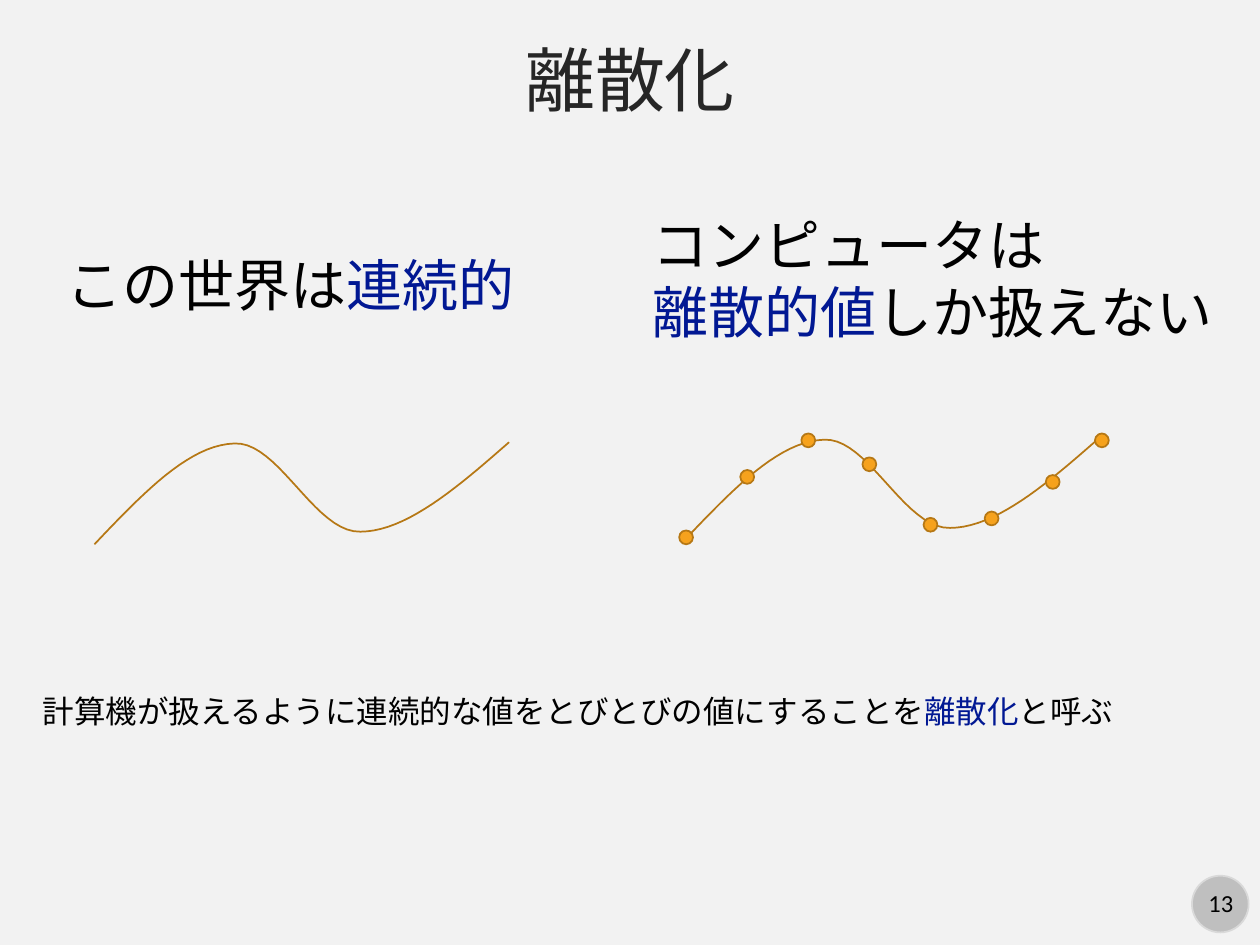
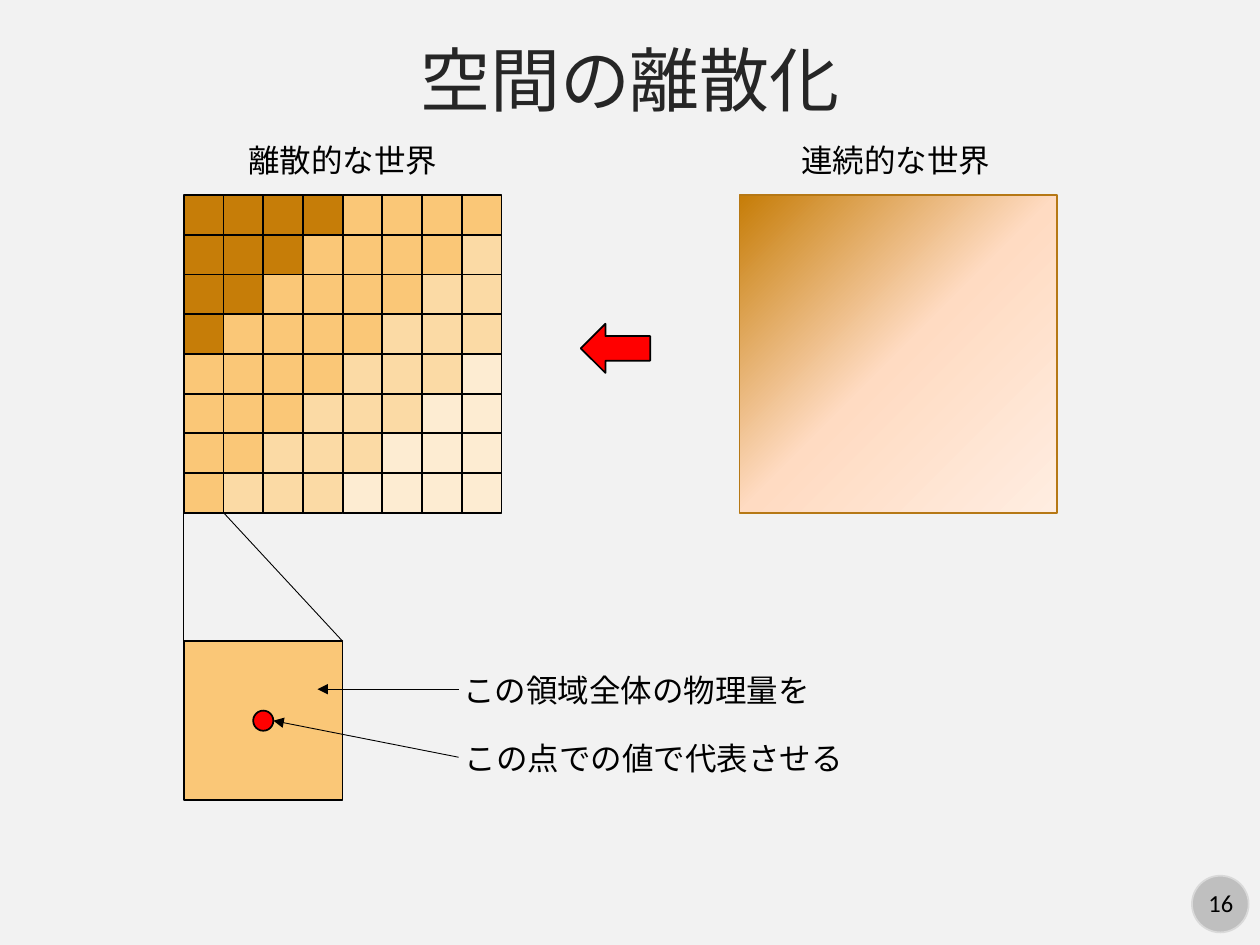
import copy
from dataclasses import dataclass

import pptx
import pptx.dml.color
import pptx.enum.lang
import pptx.enum.shapes
import pptx.enum.text
import pptx.oxml
import pptx.oxml.ns
import pptx.util

Inches = pptx.util.Inches
Pt = pptx.util.Pt
RGB = pptx.dml.color.RGBColor.from_string
SHAPE = pptx.enum.shapes.MSO_SHAPE
ALIGN = pptx.enum.text.PP_ALIGN
qn = pptx.oxml.ns.qn


@dataclass(frozen=True)
class Theme:
    font: str = "Calibri"
    background: str = "F2F2F2"
    title: str = "262626"
    text: str = "000000"
    accent: str = "011893"
    badge: str = "BFBFBF"
    badge_line: str = "D9D9D9"
    curve: str = "B67815"
    sample: str = "F6A21D"
    red: str = "FF0000"
    shades: tuple = ("C67D08", "FAC777", "FBDAA5", "FDECD2")
    gradient: tuple = ((0, "C67D08"), (0.5, "FFDBC2"), (1, "FFEDE1"))
    title_size: int = 40
    lead_size: int = 32
    body_size: int = 18
    number_size: int = 14


theme = Theme()


def add_text(s, at, text, size, color=theme.text, align=ALIGN.LEFT, wrap=False):
    tf = s.shapes.add_textbox(*map(Inches, at)).text_frame
    tf.word_wrap = wrap
    if wrap:
        tf.vertical_anchor = pptx.enum.text.MSO_ANCHOR.MIDDLE
    else:
        tf.auto_size = pptx.enum.text.MSO_AUTO_SIZE.SHAPE_TO_FIT_TEXT
    for i, line in enumerate(text.split("\n")):
        p = tf.add_paragraph() if i else tf.paragraphs[0]
        p.alignment = align
        p.font.name = theme.font
        p.font.size = Pt(size)
        p.font.color.rgb = RGB(color)
        for j, part in enumerate(line.split("|")):
            if part:
                r = p.add_run()
                r.text = part
                r.font.language_id = pptx.enum.lang.MSO_LANGUAGE_ID.JAPANESE
                if j % 2:
                    r.font.color.rgb = RGB(theme.accent)


def add_shape(s, kind, at, fill, line=theme.text):
    sp = s.shapes.add_shape(kind, *map(Inches, at))
    sp.shadow.inherit = False
    sp.fill.solid()
    sp.fill.fore_color.rgb = RGB(fill)
    sp.line.color.rgb = RGB(line)
    sp.line.width = Pt(1)
    return sp


prs = pptx.Presentation()
prs.slide_width = Inches(10)
prs.slide_height = Inches(7.5)
prs.slide_master.background.fill.solid()
prs.slide_master.background.fill.fore_color.rgb = RGB(theme.background)

for title, number in (("離散化", "13"), ("空間の離散化", "16")):
    s = prs.slides.add_slide(prs.slide_layouts[6])
    add_shape(s, SHAPE.OVAL, (9.46, 6.95, 0.45, 0.45), theme.badge, theme.badge_line)
    add_text(s, (9.47, 7, 0.44, 0.34), number, theme.number_size, align=ALIGN.CENTER)
    add_text(s, (0, 0.21, 10, 0.82), title, theme.title_size, theme.title, ALIGN.CENTER, True)

s = prs.slides[0]
add_text(s, (5.08, 1.62, 4.69, 1.18), "コンピュータは\n|離散的値|しか扱えない", theme.lead_size)
add_text(s, (0.43, 1.94, 3.79, 0.64), "この世界は|連続的", theme.lead_size)
add_text(s, (0.24, 5.44, 8.78, 0.4),
         "計算機が扱えるように連続的な値をとびとびの値にすることを|離散化|と呼ぶ", theme.body_size)

wave = [(0.75, 4.32), (1.13, 3.92), (1.5, 3.53), (1.86, 3.52), (2.21, 3.5),
        (2.5, 4.23), (2.86, 4.22), (3.22, 4.22), (3.63, 3.87), (4.04, 3.51)]
steps = 20
wave_points = [wave[0]]
for start in range(0, len(wave) - 1, 3):
    for step in range(1, steps + 1):
        t = step / steps
        weights = ((1 - t) ** 3, 3 * t * (1 - t) ** 2, 3 * t ** 2 * (1 - t), t ** 3)
        controls = wave[start:start + 4]
        wave_points.append(tuple(sum(w * c[axis] for w, c in zip(weights, controls))
                                 for axis in (0, 1)))

for dx, dy in ((0, 0), (4.68, -0.03)):
    points = [(Inches(x + dx), Inches(y + dy)) for x, y in wave_points]
    builder = s.shapes.build_freeform(*points[0])
    builder.add_line_segments(points[1:], close=False)
    sp = builder.convert_to_shape()
    sp.shadow.inherit = False
    sp.fill.background()
    sp.line.color.rgb = RGB(theme.curve)
    sp.line.width = Pt(1)

for i, top in enumerate((4.21, 3.73, 3.44, 3.63, 4.11, 4.06, 3.77, 3.44)):
    left = min(5.39 + 0.485 * i, 8.69)
    add_shape(s, SHAPE.OVAL, (left, top, 0.11, 0.11), theme.sample, theme.curve)

s = prs.slides[1]
left, top, side, count = 1.46, 1.55, 2.52, 8
cell = side / count
right, bottom = left + side, top + side
zoom_top, zoom_side = 5.09, 1.26

add_shape(s, SHAPE.RECTANGLE, (left, zoom_top, zoom_side, zoom_side), theme.shades[1])
sp = add_shape(s, SHAPE.RECTANGLE, (5.87, top, side, side), theme.shades[0], theme.curve)
sp.fill.gradient()
sp.fill.gradient_angle = 315
first_stop = sp._element.find(".//" + qn("a:gs"))
first_stop.addnext(copy.deepcopy(first_stop))
for stop, (position, color) in zip(sp.fill.gradient_stops, theme.gradient):
    stop.position = position
    stop.color.rgb = RGB(color)

sp = add_shape(s, SHAPE.RIGHT_ARROW, (4.61, 2.57, 0.55, 0.39), theme.red)
sp.rotation = 180
add_shape(s, SHAPE.OVAL, (2.01, 5.64, 0.16, 0.16), theme.red)

for at, text in (((6.26, 1.07, 1.72, 0.4), "連続的な世界"),
                 ((1.87, 1.07, 1.72, 0.4), "離散的な世界"),
                 ((3.58, 5.28, 2.98, 0.4), "この領域全体の物理量を"),
                 ((3.59, 5.82, 3.23, 0.4), "この点での値で代表させる")):
    add_text(s, at, text, theme.body_size)

offsets = [cell * i for i in range(count + 1)]
lines = [(left + d, top, left + d, bottom, False) for d in offsets]
lines += [(left, top + d, right, top + d, False) for d in offsets]
lines += [(left, bottom, left, zoom_top, False),
          (left + cell, bottom, left + zoom_side, zoom_top, False),
          (3.64, 5.47, 2.52, 5.47, True),
          (3.64, 6.01, 2.17, 5.72, True)]
for *ends, arrow in lines:
    sp = s.shapes.add_connector(pptx.enum.shapes.MSO_CONNECTOR.STRAIGHT, *map(Inches, ends))
    sp.line.color.rgb = RGB(theme.text)
    sp.line.width = Pt(0.5)
    if arrow:
        tail = pptx.oxml.parse_xml(
            '<a:tailEnd xmlns:a="http://schemas.openxmlformats.org/drawingml/2006/main" type="triangle"/>')
        sp.line._get_or_add_ln().append(tail)
    sp._element.spPr.append(sp._element.makeelement(qn("a:effectLst"), {}))

for row in range(count):
    for col in range(count):
        shade = sum(row + col >= limit for limit in (4, 8, 11))
        add_shape(s, SHAPE.RECTANGLE, (left + col * cell, top + row * cell, cell, cell),
                  theme.shades[shade])

prs.save("out.pptx")
